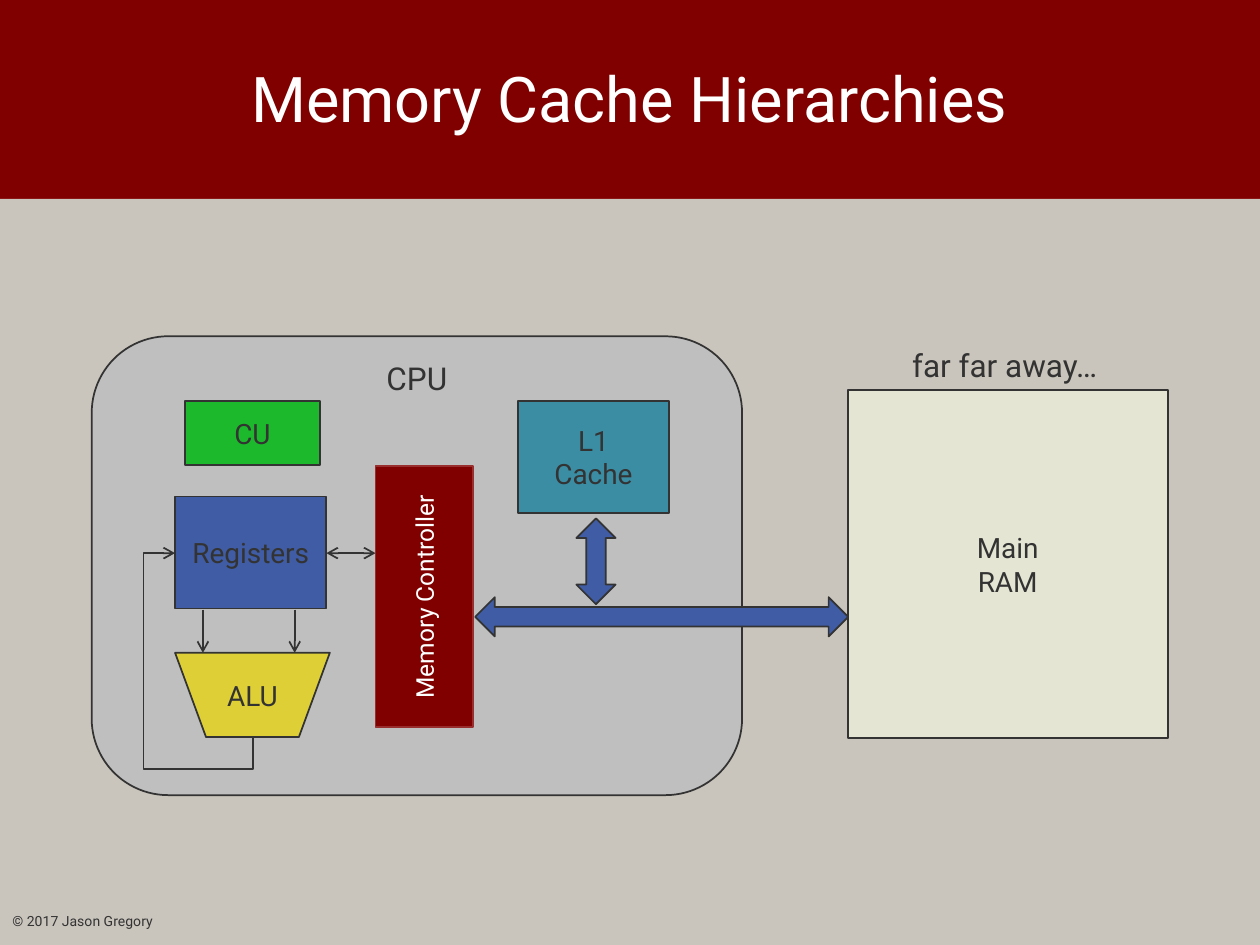
from dataclasses import dataclass
from typing import Optional

from lxml.etree import SubElement
from pptx import Presentation
from pptx.dml.color import RGBColor
from pptx.enum.shapes import MSO_CONNECTOR, MSO_SHAPE
from pptx.enum.text import MSO_ANCHOR, PP_ALIGN
from pptx.oxml.ns import qn
from pptx.util import Cm, Pt


@dataclass(frozen=True)
class Theme:
    font: str = "Roboto"
    maroon: str = "800000"
    panel: str = "C9C5BC"
    chip: str = "BFBFBF"
    ink: str = "333333"
    white: str = "FFFFFF"
    blue: str = "3F5CA4"
    teal: str = "3B8DA4"
    green: str = "1DB92C"
    yellow: str = "DDCF35"
    cream: str = "E5E5D3"
    red_edge: str = "982E2E"
    title: int = 36
    heading: int = 18
    label: int = 16
    small: int = 14
    footer: int = 8
    line: int = 1


T = Theme()


@dataclass(frozen=True)
class Box:
    left: float
    top: float
    width: float
    height: float
    fill: str
    text: str = ""
    shape: MSO_SHAPE = MSO_SHAPE.RECTANGLE
    edge: Optional[str] = T.ink
    color: str = T.ink
    size: int = T.label
    rotation: int = 0
    anchor: MSO_ANCHOR = MSO_ANCHOR.MIDDLE
    inset: Optional[float] = None


@dataclass(frozen=True)
class Arrow:
    x1: float
    y1: float
    x2: float
    y2: float
    double: bool = False


@dataclass(frozen=True)
class Note:
    left: float
    top: float
    width: float
    height: float
    text: str
    size: int
    wrap: bool
    anchor: MSO_ANCHOR


def rgb(value: str) -> RGBColor:
    return RGBColor.from_string(value)


def write(tf, text: str, size: int, color: str, align: PP_ALIGN, anchor: MSO_ANCHOR) -> None:
    tf.text = text
    tf.vertical_anchor = anchor
    for p in tf.paragraphs:
        p.alignment = align
        for r in p.runs:
            r.font.name = T.font
            r.font.size = Pt(size)
            r.font.color.rgb = rgb(color)


def add_box(s, b: Box) -> None:
    sp = s.shapes.add_shape(b.shape, Cm(b.left), Cm(b.top), Cm(b.width), Cm(b.height))
    sp.shadow.inherit = False
    sp.rotation = b.rotation
    sp.fill.solid()
    sp.fill.fore_color.rgb = rgb(b.fill)
    if b.edge:
        sp.line.color.rgb = rgb(b.edge)
        sp.line.width = Pt(T.line)
    else:
        sp.line.fill.background()
    if b.text:
        tf = sp.text_frame
        if b.inset is not None:
            tf.margin_left = tf.margin_right = tf.margin_top = tf.margin_bottom = Cm(b.inset)
        write(tf, b.text, b.size, b.color, PP_ALIGN.CENTER, b.anchor)


def add_arrow(s, a: Arrow, kind: MSO_CONNECTOR = MSO_CONNECTOR.STRAIGHT):
    cn = s.shapes.add_connector(kind, Cm(a.x1), Cm(a.y1), Cm(a.x2), Cm(a.y2))
    cn.line.color.rgb = rgb(T.ink)
    cn.line.width = Pt(T.line)
    ln = cn.line._get_or_add_ln()
    for tag in ("a:headEnd", "a:tailEnd") if a.double else ("a:tailEnd",):
        SubElement(ln, qn(tag), type="arrow")
    SubElement(cn.element.spPr, qn("a:effectLst"))
    return cn


def add_feedback(s, a: Arrow) -> None:
    sp_pr = add_arrow(s, a, MSO_CONNECTOR.ELBOW).element.spPr
    sp_pr.find(qn("a:xfrm")).set("rot", str(90 * 60000))
    geom = sp_pr.find(qn("a:prstGeom"))
    geom.set("prst", "bentConnector4")
    guides = geom.find(qn("a:avLst"))
    for name, value in (("adj1", -17200), ("adj2", 140600)):
        SubElement(guides, qn("a:gd"), name=name, fmla=f"val {value}")


def add_note(s, n: Note) -> None:
    tb = s.shapes.add_textbox(Cm(n.left), Cm(n.top), Cm(n.width), Cm(n.height))
    tb.text_frame.word_wrap = n.wrap
    write(tb.text_frame, n.text, n.size, T.ink, PP_ALIGN.LEFT, n.anchor)


PANEL = Box(0, 4.01, 25.4, 15.04, T.panel, edge=None)
CPU = Box(1.85, 6.78, 13.11, 9.25, T.chip, "CPU", MSO_SHAPE.ROUNDED_RECTANGLE,
          size=T.heading, anchor=MSO_ANCHOR.TOP, inset=0)
ALU = Box(3.53, 13.16, 3.12, 1.7, T.yellow, "ALU", MSO_SHAPE.FLOWCHART_MANUAL_OPERATION)
CONTROLLER = Box(5.92, 11.05, 5.26, 1.96, T.maroon, "Memory Controller", edge=T.red_edge,
                 color=T.white, size=T.small, rotation=270)
RAM = Box(17.09, 7.87, 6.45, 7.01, T.cream, "Main\vRAM")
CU = Box(3.73, 8.08, 2.72, 1.3, T.green, "CU")
BUS = Box(9.58, 12.04, 7.52, 0.79, T.blue, shape=MSO_SHAPE.LEFT_RIGHT_ARROW)
CACHE = Box(10.44, 8.08, 3.05, 2.26, T.teal, "L1\vCache")
CACHE_LINK = Box(11.15, 10.92, 1.73, 0.79, T.blue, shape=MSO_SHAPE.LEFT_RIGHT_ARROW, rotation=270)
REGISTERS = Box(3.53, 10.01, 3.05, 2.26, T.blue, "Registers")

BOXES = (PANEL, CPU, ALU, CONTROLLER, RAM, CU, BUS, CACHE, CACHE_LINK, REGISTERS)
ARROWS = (
    Arrow(4.09, 12.29, 4.09, 13.16),
    Arrow(5.94, 12.29, 5.94, 13.16),
    Arrow(6.58, 11.15, 7.57, 11.15, double=True),
)
FEEDBACK = Arrow(6.17, 12.22, 2.46, 13.79)
NOTES = (
    Note(18.14, 6.86, 4.34, 1.02, "far far away…", T.heading, False, MSO_ANCHOR.TOP),
    Note(0, 18.06, 8.05, 0.99, "© 2017 Jason Gregory", T.footer, True, MSO_ANCHOR.MIDDLE),
)


def main() -> None:
    prs = Presentation()
    prs.slide_width, prs.slide_height = Cm(25.4), Cm(19.05)
    s = prs.slides.add_slide(prs.slide_layouts[5])
    s.background.fill.solid()
    s.background.fill.fore_color.rgb = rgb(T.maroon)

    title = s.shapes.title
    title.left, title.top, title.width, title.height = Cm(2.16), Cm(0.18), Cm(21.06), Cm(3.56)
    write(title.text_frame, "Memory Cache Hierarchies", T.title, T.white,
          PP_ALIGN.CENTER, MSO_ANCHOR.MIDDLE)

    for box in BOXES:
        add_box(s, box)
    for arrow in ARROWS:
        add_arrow(s, arrow)
    add_feedback(s, FEEDBACK)
    for note in NOTES:
        add_note(s, note)

    prs.save("out.pptx")


if __name__ == "__main__":
    main()
